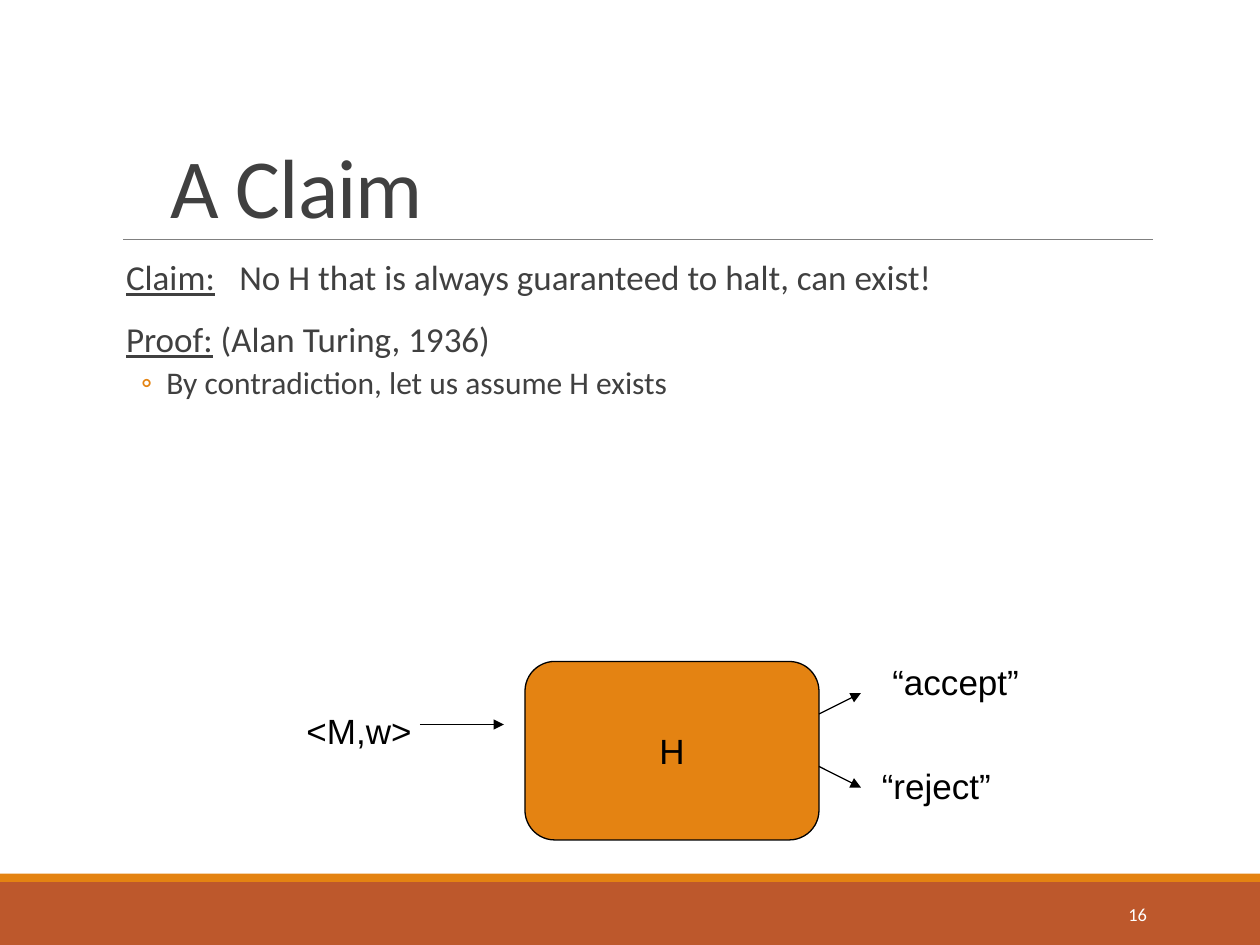
from typing import NamedTuple

from lxml import etree
from pptx import Presentation
from pptx.dml.color import RGBColor
from pptx.enum.shapes import MSO_CONNECTOR, MSO_SHAPE
from pptx.enum.text import MSO_ANCHOR, MSO_AUTO_SIZE, PP_ALIGN
from pptx.oxml.ns import qn
from pptx.util import Inches, Length, Pt

RECT, ROUNDED = MSO_SHAPE.RECTANGLE, MSO_SHAPE.ROUNDED_RECTANGLE
STRAIGHT = MSO_CONNECTOR.STRAIGHT
TOP, MIDDLE, BOTTOM = MSO_ANCHOR.TOP, MSO_ANCHOR.MIDDLE, MSO_ANCHOR.BOTTOM
LEFT, CENTER, RIGHT = PP_ALIGN.LEFT, PP_ALIGN.CENTER, PP_ALIGN.RIGHT
NO_FIT, GROW = MSO_AUTO_SIZE.NONE, MSO_AUTO_SIZE.SHAPE_TO_FIT_TEXT

ORANGE, RUST, GRAY = "E48312", "BD582C", "808080"
DARK, BLACK, WHITE = "404040", "000000", "FFFFFF"
COLUMNS, ROWS = 120, 90  # grid of the slide, twelve cells to the inch


class Area(NamedTuple):
    column: float
    row: float
    columns: float
    rows: float


class Label(NamedTuple):
    text: str
    area: Area


class Line(NamedTuple):
    start: tuple[float, float]
    end: tuple[float, float]
    color: str = BLACK
    width: float = 0.75
    arrow: bool = True


class Item(NamedTuple):
    heading: str
    text: str
    level: int = 0
    before: float = 12


class Level(NamedTuple):
    size: float
    margin: float
    hanging: float
    after: float
    bullet: str


LEVELS = [Level(20, 0.1, 0.1, 2, " "), Level(18, 0.42, 0.2, 4, "◦")]
ITEMS = [
    Item("Claim:", " \tNo H that is always guaranteed to halt, can exist!", before=0),
    Item("Proof:", " (Alan Turing, 1936)"),
    Item("", "By contradiction, let us assume H exists", level=1, before=2),
]
LABELS = [
    Label("<M,w>", Area(28, 67, 13.3, 5.2)),
    Label("“accept”", Area(83.8, 62.3, 14.8, 5.2)),
    Label("“reject”", Area(82.8, 72.2, 13, 5.2)),
]
LINES = [
    Line((11.75, 22.8), (109.8, 22.8), GRAY, 0.5, arrow=False),
    Line((40, 69), (48, 69)),
    Line((78, 68), (82, 66)),
    Line((78, 73), (82, 75)),
]

deck = Presentation()
deck.slide_width, deck.slide_height = Inches(10), Inches(7.5)
page = deck.slides.add_slide(deck.slide_layouts[1])


def across(columns: float) -> Length:
    return Length(round(deck.slide_width * columns / COLUMNS))


def down(rows: float) -> Length:
    return Length(round(deck.slide_height * rows / ROWS))


def place(area: Area) -> tuple[Length, Length, Length, Length]:
    return across(area.column), down(area.row), across(area.columns), down(area.rows)


def rgb(color: str) -> RGBColor:
    return RGBColor.from_string(color)


def set_font(para, name: str, size: float, color: str) -> None:
    para.font.name, para.font.size = name, Pt(size)
    para.font.color.rgb = rgb(color)


def move(box, area: Area, anchor) -> None:
    box.left, box.top, box.width, box.height = place(area)
    box.text_frame.auto_size = NO_FIT
    box.text_frame.vertical_anchor = anchor


def add_block(kind, area: Area, fill: str, outline: str = ""):
    block = page.shapes.add_shape(kind, *place(area))
    block.shadow.inherit = False
    block.fill.solid()
    block.fill.fore_color.rgb = rgb(fill)
    if outline:
        block.line.color.rgb = rgb(outline)
        block.line.width = Pt(0.75)
    else:
        block.line.fill.background()
    return block


def write(box, text: str, font: str, size: float, color: str, align) -> None:
    para = box.text_frame.paragraphs[0]
    para.add_run().text = text
    para.alignment = align
    set_font(para, font, size, color)


def add_line(line: Line) -> None:
    (x1, y1), (x2, y2) = line.start, line.end
    connector = page.shapes.add_connector(STRAIGHT, across(x1), down(y1), across(x2), down(y2))
    connector.line.color.rgb = rgb(line.color)
    connector.line.width = Pt(line.width)
    if line.arrow:
        etree.SubElement(connector.line._get_or_add_ln(), qn("a:tailEnd"), type="triangle")
    etree.SubElement(connector._element.spPr, qn("a:effectLst"))


def add_item(para, item: Item) -> None:
    level = LEVELS[item.level]
    para.level = item.level
    para.line_spacing = 0.9
    para.space_before, para.space_after = Pt(item.before), Pt(level.after)
    props = para._p.get_or_add_pPr()
    props.set("marL", str(Inches(level.margin)))
    props.set("indent", str(-Inches(level.hanging)))
    bullet_color = etree.SubElement(props, qn("a:buClr"))
    etree.SubElement(bullet_color, qn("a:srgbClr"), val=ORANGE)
    etree.SubElement(props, qn("a:buFont"), typeface="Calibri")
    etree.SubElement(props, qn("a:buChar"), char=level.bullet)
    set_font(para, "Calibri", level.size, DARK)
    if item.heading:
        span = para.add_run()
        span.text = item.heading
        span.font.underline = True
    para.add_run().text = item.text


# Footer bars
add_block(RECT, Area(0, 84, COLUMNS, 6), RUST)
add_block(RECT, Area(0, 83.2, COLUMNS, 0.8), ORANGE)

# Title
title = page.shapes.title
move(title, Area(15, 8, 102.2, 15), BOTTOM)
write(title, "A Claim", "Calibri", 48, DARK, LEFT)
heading = title.text_frame.paragraphs[0]
heading.line_spacing = 0.85
heading.font._element.set("spc", "-50")

# Claim and proof
body = page.placeholders[1]
move(body, Area(10.8, 24.2, 99, 52.8), TOP)
frame = body.text_frame
frame.margin_left = frame.margin_right = 0
for index, item in enumerate(ITEMS):
    add_item(frame.add_paragraph() if index else frame.paragraphs[0], item)

# Slide number
number = page.shapes.add_textbox(*place(Area(97.4, 84.7, 13, 4.8)))
number.text_frame.word_wrap = True
number.text_frame.vertical_anchor = MIDDLE
write(number, "16", "Calibri", 10.5, WHITE, RIGHT)

# Machine H with its input and outputs
machine = add_block(ROUNDED, Area(50, 63, 28, 17), ORANGE, BLACK)
machine.text_frame.word_wrap = False
machine.text_frame.vertical_anchor = MIDDLE
write(machine, "H", "Arial", 20, BLACK, CENTER)
for label in LABELS:
    box = page.shapes.add_textbox(*place(label.area))
    box.text_frame.word_wrap = False
    box.text_frame.auto_size = GROW
    write(box, label.text, "Arial", 20, BLACK, LEFT)

# Title rule and arrows
for line in LINES:
    add_line(line)

deck.save("out.pptx")
